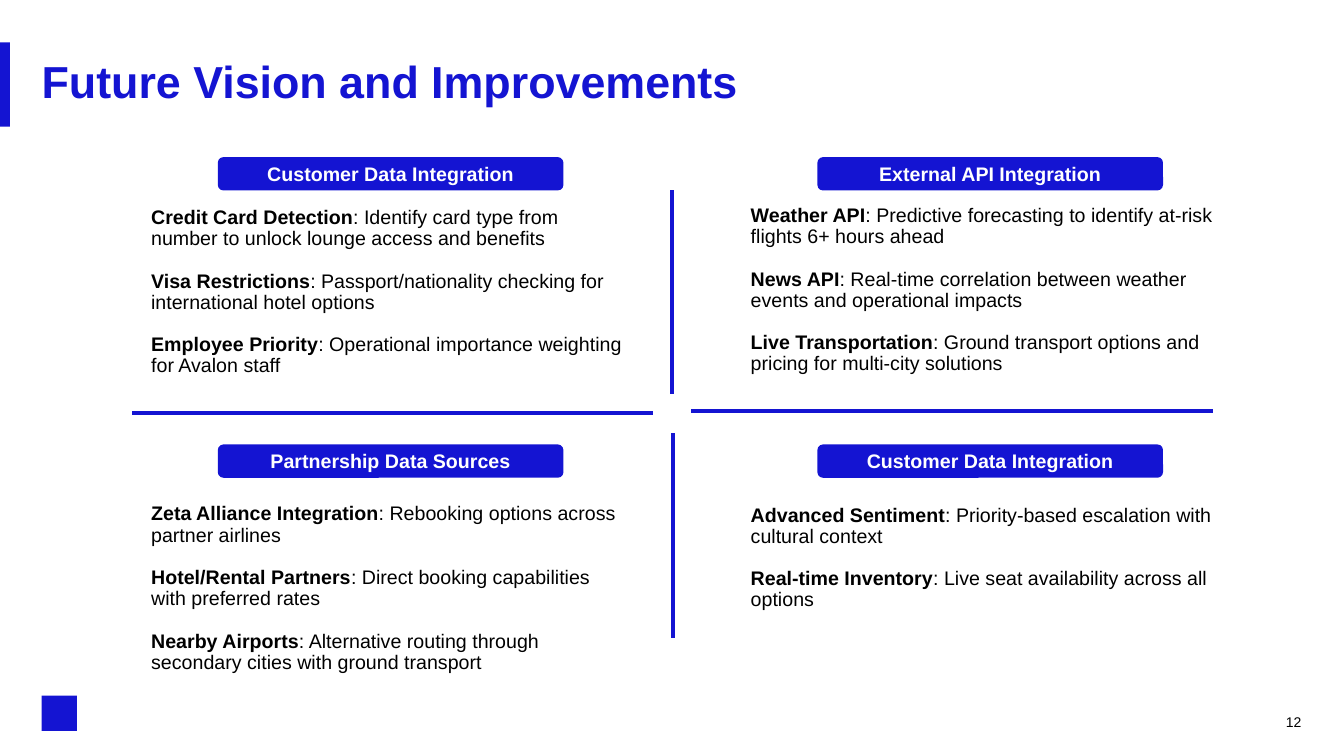
import pptx
import pptx.dml.color
import pptx.enum.shapes
import pptx.enum.text
import pptx.oxml.ns
import pptx.util
from lxml import etree

Cm = pptx.util.Cm
Pt = pptx.util.Pt
SHAPES = pptx.enum.shapes.MSO_SHAPE
ALIGN = pptx.enum.text.PP_ALIGN
ANCHOR = pptx.enum.text.MSO_ANCHOR

COLOURS = {"brand": "1414D2", "text": "000000", "white": "FFFFFF"}
FONT = "Arial"
COLUMN_WIDTH = 12.07
PILL_WIDTH, PILL_HEIGHT = 8.71, 0.84

QUADRANTS = [
    (3.81, 3.96, 1.27, "Customer Data Integration", [
        ("Credit Card Detection", "Identify card type from number to unlock lounge access and benefits"),
        ("Visa Restrictions", "Passport/nationality checking for international hotel options"),
        ("Employee Priority", "Operational importance weighting for Avalon staff"),
    ]),
    (18.92, 3.96, 1.22, "External API Integration", [
        ("Weather API", "Predictive forecasting to identify at-risk flights 6+ hours ahead"),
        ("News API", "Real-time correlation between weather events and operational impacts"),
        ("Live Transportation", "Ground transport options and pricing for multi-city solutions"),
    ]),
    (3.81, 11.2, 1.5, "Partnership Data Sources", [
        ("Zeta Alliance Integration", "Rebooking options across partner airlines"),
        ("Hotel/Rental Partners", "Direct booking capabilities with preferred rates"),
        ("Nearby Airports", "Alternative routing through secondary cities with ground transport"),
    ]),
    (18.92, 11.2, 1.53, "Customer Data Integration", [
        ("Advanced Sentiment", "Priority-based escalation with cultural context"),
        ("Real-time Inventory", "Live seat availability across all options"),
    ]),
]
DIVIDERS = [
    (16.94, 4.8, 16.94, 9.93),
    (3.33, 10.41, 16.46, 10.41),
    (17.42, 10.36, 30.56, 10.36),
    (16.97, 10.92, 16.97, 16.08),
]


def colour(name):
    """Return the named colour."""
    return pptx.dml.color.RGBColor.from_string(COLOURS[name])


def style(span, size, name, bold=False):
    """Format a run."""
    span.font.name = FONT
    span.font.size = Pt(size)
    span.font.bold = bold
    span.font.color.rgb = colour(name)


def prepare(frame, anchor=ANCHOR.TOP):
    """Give a text frame wrapping, no margins and a fixed size."""
    frame.word_wrap = True
    frame.auto_size = pptx.enum.text.MSO_AUTO_SIZE.NONE
    frame.vertical_anchor = anchor
    frame.margin_left = frame.margin_right = frame.margin_top = frame.margin_bottom = 0


def add_block(page, kind, left, top, width, height):
    """Add a solid shape in the brand colour."""
    block = page.shapes.add_shape(kind, Cm(left), Cm(top), Cm(width), Cm(height))
    block.shadow.inherit = False
    block.fill.solid()
    block.fill.fore_color.rgb = colour("brand")
    block.line.fill.background()
    return block


def add_header(page, left, top, width, height):
    """Place the accent bar and the slide title."""
    add_block(page, SHAPES.RECTANGLE, 0, top - 0.43, 0.25, 2.12)
    title = page.shapes.title
    title.left, title.top, title.width, title.height = Cm(left), Cm(top), Cm(width), Cm(height)
    frame = title.text_frame
    frame.text = "Future Vision and Improvements"
    prepare(frame, ANCHOR.MIDDLE)
    para = frame.paragraphs[0]
    para.alignment = ALIGN.LEFT
    para.line_spacing = 0.9
    style(para.runs[0], 32, "brand", True)


def add_quadrant(page, left, top, text_gap, heading, items):
    """Place a heading pill centred above its list of ideas."""
    pill = add_block(page, SHAPES.ROUNDED_RECTANGLE, left + (COLUMN_WIDTH - PILL_WIDTH) / 2, top,
                     PILL_WIDTH, PILL_HEIGHT)
    pill.text_frame.text = heading
    pill.text_frame.vertical_anchor = ANCHOR.MIDDLE
    label = pill.text_frame.paragraphs[0]
    label.alignment = ALIGN.CENTER
    style(label.runs[0], 14, "white", True)

    box = page.shapes.add_textbox(Cm(left), Cm(top + text_gap), Cm(COLUMN_WIDTH),
                                  Cm(1.62 * len(items) - 0.54))
    frame = box.text_frame
    prepare(frame)
    for index, (name, detail) in enumerate(items):
        para = frame.add_paragraph() if index else frame.paragraphs[0]
        para.line_spacing = 0.9
        if index:
            para.space_before = Pt(15.2)
        for text, bold in ((name, True), (": " + detail, False)):
            span = para.add_run()
            span.text = text
            style(span, 14, "text", bold)


def add_divider(page, start_x, start_y, end_x, end_y):
    """Draw one line of the cross between the quadrants."""
    line = page.shapes.add_connector(pptx.enum.shapes.MSO_CONNECTOR.STRAIGHT,
                                     Cm(start_x), Cm(start_y), Cm(end_x), Cm(end_y))
    line.line.color.rgb = colour("brand")
    line.line.width = Pt(3)
    etree.SubElement(line.element.spPr, pptx.oxml.ns.qn("a:effectLst"))


def add_footer(page, left, top, width):
    """Place the emblem square and the page number."""
    add_block(page, SHAPES.RECTANGLE, left, top, 0.89, 0.89)
    box = page.shapes.add_textbox(Cm(left + width - 1.2), Cm(top + 0.46), Cm(1.2), Cm(0.5))
    prepare(box.text_frame)
    box.text_frame.text = "12"
    para = box.text_frame.paragraphs[0]
    para.alignment = ALIGN.RIGHT
    style(para.runs[0], 10, "text")


def main():
    """Build and save the deck."""
    deck = pptx.Presentation()
    deck.slide_width, deck.slide_height = Cm(33.87), Cm(19.05)
    page = deck.slides.add_slide(deck.slide_layouts[5])
    add_header(page, 1.05, 1.5, 31.75, 1.22)
    for quadrant in QUADRANTS:
        add_quadrant(page, *quadrant)
    for divider in DIVIDERS:
        add_divider(page, *divider)
    add_footer(page, 1.05, 17.53, 31.75)
    deck.save("out.pptx")


if __name__ == "__main__":
    main()
